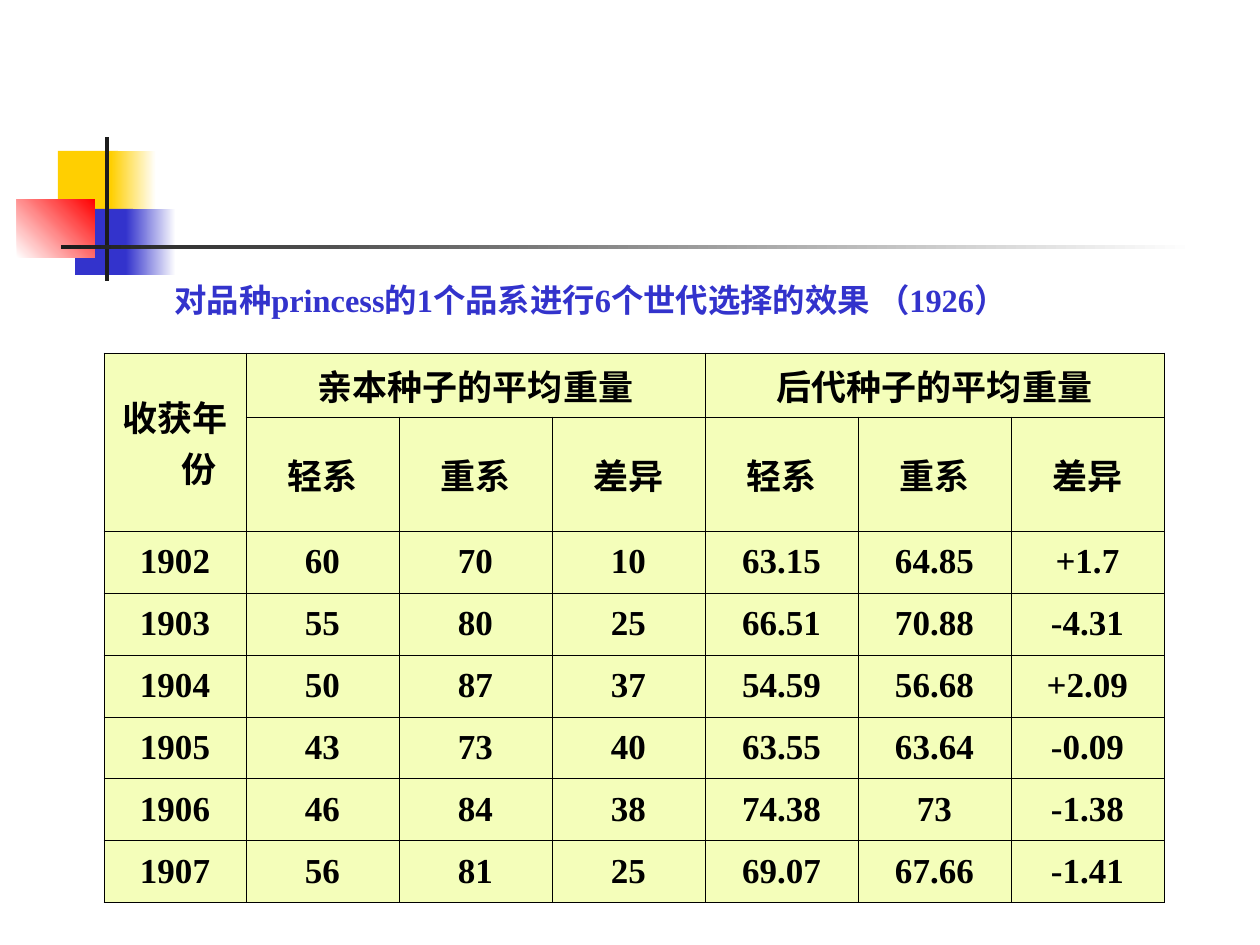
from pptx import Presentation, util as u
from pptx.dml.color import RGBColor
from pptx.enum import shapes, text
from pptx.oxml.ns import qn
from lxml import etree

# Content
TITLE = "对品种princess的1个品系进行6个世代选择的效果 （1926）"
YEAR_HEAD = "收获年份"
GROUP_HEADS = ["亲本种子的平均重量", "后代种子的平均重量"]
LINE_HEADS = ["轻系", "重系", "差异"]
HARVESTS = [
    ["1902", "60", "70", "10", "63.15", "64.85", "+1.7"],
    ["1903", "55", "80", "25", "66.51", "70.88", "-4.31"],
    ["1904", "50", "87", "37", "54.59", "56.68", "+2.09"],
    ["1905", "43", "73", "40", "63.55", "63.64", "-0.09"],
    ["1906", "46", "84", "38", "74.38", "73", "-1.38"],
    ["1907", "56", "81", "25", "69.07", "67.66", "-1.41"],
]

# Look
FONT = "Times New Roman"
WHITE, BLACK, CHARCOAL = "FFFFFF", "000000", "1C1C1C"
YELLOW, BLUE, RED, CREAM = "FFCF01", "3333CC", "FF0000", "F4FEBA"

# Left, top, width, height in px; fill colours; gradient angle
ORNAMENTS = [
    (58, 151, 60, 66, [YELLOW], 0),
    (111, 151, 45, 66, [YELLOW, WHITE], 0),
    (75, 209, 58, 66, [BLUE], 0),
    (126, 209, 50, 66, [BLUE, WHITE], 0),
    (17, 199, 78, 59, [WHITE, RED], 45),
    (105, 137, 4, 144, [CHARCOAL], 0),
    (61, 245, 1134, 4, [CHARCOAL, WHITE], 0),
]
TITLE_BOX = (162, 278, 944, 56)
TABLE_LEFT, TABLE_TOP = 104, 353
COLUMN_WIDTHS = [142] + [153] * 6
ROW_HEIGHTS = [64, 114] + [62] * len(HARVESTS)


def px(n):
    return u.Emu(round(n * 914400 / 126))


def color(hex_string):
    return RGBColor.from_string(hex_string)


def write(frame, words, size, ink, align=None, spacing=None):
    frame.word_wrap = True
    paragraph = frame.paragraphs[0]
    paragraph.alignment = align
    paragraph.line_spacing = spacing
    props = paragraph._p.get_or_add_pPr()
    props.set("marL", str(px(48)))
    props.set("indent", str(-px(48)))
    run = paragraph.add_run()
    run.text = words
    run.font.name, run.font.size, run.font.bold = FONT, u.Pt(size), True
    run.font.color.rgb = color(ink)


def add_ornament(slide, left, top, width, height, fills, angle):
    block = slide.shapes.add_shape(
        shapes.MSO_SHAPE.RECTANGLE, *map(px, (left, top, width, height)))
    block.shadow.inherit = False
    block.line.fill.background()
    if len(fills) == 1:
        block.fill.solid()
        block.fill.fore_color.rgb = color(fills[0])
    else:
        block.fill.gradient()
        block.fill.gradient_angle = angle
        for stop, shade, position in zip(block.fill.gradient_stops, fills, (0, 1)):
            stop.color.rgb = color(shade)
            stop.position = position


def style_cell(cell):
    props = cell._tc.get_or_add_tcPr()
    for side in ("a:lnL", "a:lnR", "a:lnT", "a:lnB"):
        border = etree.SubElement(props, qn(side), w=str(u.Pt(0.45)))
        ink = etree.SubElement(border, qn("a:solidFill"))
        etree.SubElement(ink, qn("a:srgbClr"), val=BLACK)
    cell.fill.solid()
    cell.fill.fore_color.rgb = color(CREAM)
    cell.vertical_anchor = text.MSO_ANCHOR.MIDDLE


def add_harvest_table(slide):
    frame = slide.shapes.add_table(
        len(ROW_HEIGHTS), len(COLUMN_WIDTHS), px(TABLE_LEFT), px(TABLE_TOP),
        px(sum(COLUMN_WIDTHS)), px(sum(ROW_HEIGHTS)))
    table = frame.table
    table.first_row = table.horz_banding = False
    for column, width in zip(table.columns, COLUMN_WIDTHS):
        column.width = px(width)
    for row, height in zip(table.rows, ROW_HEIGHTS):
        row.height = px(height)

    # Two header rows: the year spans both, each group spans its lines
    span = len(LINE_HEADS)
    table.cell(0, 0).merge(table.cell(1, 0))
    top_row = [YEAR_HEAD]
    for index, head in enumerate(GROUP_HEADS):
        first = 1 + index * span
        table.cell(0, first).merge(table.cell(0, first + span - 1))
        top_row += [head] + [""] * (span - 1)
    rows = [top_row, [""] + LINE_HEADS * len(GROUP_HEADS)] + HARVESTS

    for r, row in enumerate(rows):
        for c, words in enumerate(row):
            cell = table.cell(r, c)
            style_cell(cell)
            if words:
                write(cell.text_frame, words, size=20, ink=BLACK,
                      align=text.PP_ALIGN.CENTER)


def main():
    deck = Presentation()
    deck.slide_width, deck.slide_height = px(1260), px(945)
    slide = deck.slides.add_slide(deck.slide_layouts[6])

    # Corner ornament and rule
    for ornament in ORNAMENTS:
        add_ornament(slide, *ornament)

    # Title
    title = slide.shapes.add_textbox(*map(px, TITLE_BOX))
    write(title.text_frame, TITLE, size=18.5, ink=BLUE, spacing=0.9)

    add_harvest_table(slide)
    deck.save("out.pptx")


if __name__ == "__main__":
    main()
